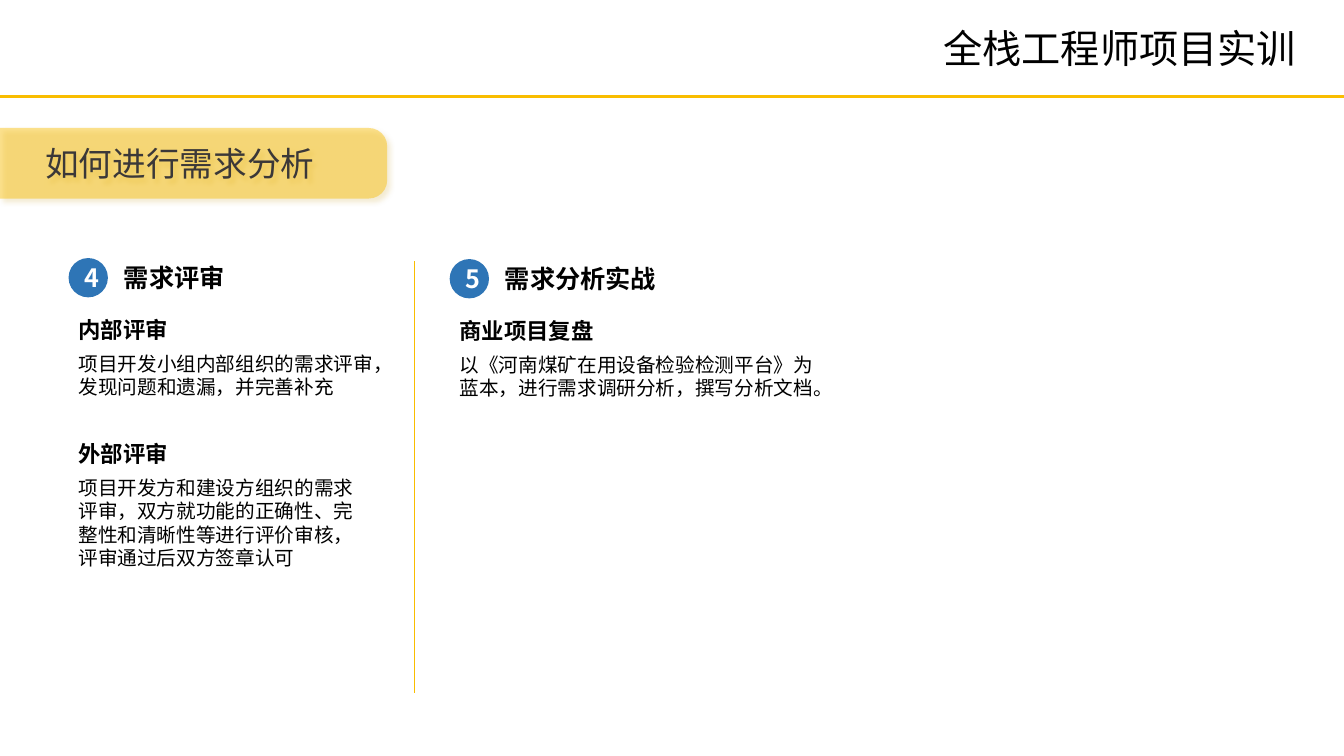
import pptx
import pptx.util
from lxml import etree
from pptx.dml.color import RGBColor
from pptx.enum.shapes import MSO_CONNECTOR, MSO_SHAPE
from pptx.enum.text import MSO_ANCHOR, MSO_AUTO_SIZE, PP_ALIGN
from pptx.oxml.ns import qn
from pptx.util import Inches, Pt

GOLD = RGBColor(0xF9, 0xBD, 0x00)
SHADOW_BROWN = RGBColor(0xBF, 0x90, 0x00)
BLUE = RGBColor(0x2E, 0x75, 0xB6)
CHARCOAL = RGBColor(0x3B, 0x38, 0x38)
BLACK = RGBColor(0, 0, 0)
WHITE = RGBColor(0xFF, 0xFF, 0xFF)
CJK_FONT = "Noto Sans CJK SC"

COURSE = "全栈工程师项目实训"
TOPIC = "如何进行需求分析"
# Each step: number, heading, left, top, notes as (offset, width, height, title, body, space after body)
STEPS = [
    ("4", "需求评审", 0.68, 2.56, [
        (0.53, 3.29, 0.93, "内部评审",
         "项目开发小组内部组织的需求评审，发现问题和遗漏，并完善补充", 0),
        (1.76, 3.04, 1.4, "外部评审",
         "项目开发方和建设方组织的需求评审，双方就功能的正确性、"
         "完整性和清晰性等进行评价审核，评审通过后双方签章认可", 0),
    ]),
    ("5", "需求分析实战", 4.46, 2.57, [
        (0.53, 3.79, 0.93, "商业项目复盘",
         "以《河南煤矿在用设备检验检测平台》为蓝本，进行需求调研分析，撰写分析文档。", 6),
    ]),
]
BADGE = 0.39

prs = pptx.Presentation()
prs.slide_width, prs.slide_height = Inches(13.33), Inches(7.5)
slide = prs.slides.add_slide(prs.slide_layouts[6])


def add_run(paragraph, text, size, color=BLACK, bold=False, latin=CJK_FONT):
    run = paragraph.add_run()
    run.text = text
    run.font.size = Pt(size)
    run.font.bold = bold
    run.font.color.rgb = color
    run.font.name = latin
    etree.SubElement(run.font._element, qn("a:ea"), typeface=CJK_FONT)


def add_text_box(left, top, width, height):
    box = slide.shapes.add_textbox(*map(Inches, (left, top, width, height)))
    box.text_frame.word_wrap = True
    box.text_frame.auto_size = MSO_AUTO_SIZE.SHAPE_TO_FIT_TEXT
    return box.text_frame


def add_rule(x1, y1, x2, y2, weight):
    rule = slide.shapes.add_connector(MSO_CONNECTOR.STRAIGHT, *map(Inches, (x1, y1, x2, y2)))
    rule.line.color.rgb = GOLD
    rule.line.width = Pt(weight)
    etree.SubElement(rule._element.spPr, qn("a:effectLst"))


def add_filled_shape(kind, left, top, width, height, color):
    shape = slide.shapes.add_shape(kind, *map(Inches, (left, top, width, height)))
    shape.shadow.inherit = False
    shape.fill.solid()
    shape.fill.fore_color.rgb = color
    shape.line.fill.background()
    shape.text_frame.vertical_anchor = MSO_ANCHOR.MIDDLE
    return shape


def set_alpha(color_element, percent):
    etree.SubElement(color_element, qn("a:alpha"), val=str(percent * 1000))


def add_banner():
    """Gold tab on the left edge: turned a quarter so its two round corners face right."""
    banner = add_filled_shape(MSO_SHAPE.ROUND_2_SAME_RECTANGLE, 1.57, -0.3, 0.7, 3.84, GOLD)
    banner.rotation = 90
    banner.adjustments[0] = 0.26
    banner.adjustments[1] = 0
    properties = banner._element.spPr
    set_alpha(properties.find(".//" + qn("a:srgbClr")), 44)
    shadow = etree.SubElement(
        properties.find(qn("a:effectLst")), qn("a:outerShdw"), blurRad=str(Pt(4)),
        dist=str(Pt(3)), dir=str(45 * 60000), algn="tl", rotWithShape="0")
    set_alpha(etree.SubElement(shadow, qn("a:srgbClr"), val=str(SHADOW_BROWN)), 40)

    frame = banner.text_frame
    frame.margin_left = frame.margin_right = frame.margin_top = frame.margin_bottom = 0
    frame._txBody.find(qn("a:bodyPr")).set("vert", "vert270")
    topic = frame.paragraphs[0]
    topic.alignment = PP_ALIGN.LEFT
    topic._p.get_or_add_pPr().set("marL", str(Inches(0.45)))
    add_run(topic, TOPIC, 24, CHARCOAL)


def add_step(number, heading, left, top, notes):
    badge = add_filled_shape(MSO_SHAPE.OVAL, left, top, BADGE, BADGE, BLUE)
    badge_line = badge.text_frame.paragraphs[0]
    badge_line.alignment = PP_ALIGN.CENTER
    add_run(badge_line, number, 18, WHITE, bold=True)

    heading_frame = add_text_box(left + 0.45, top - 0.01, 2.29, 0.4)
    add_run(heading_frame.paragraphs[0], heading, 18, bold=True)

    for offset, width, height, title, body, space_after in notes:
        note = add_text_box(left, top + offset, width, height)
        title_line = note.paragraphs[0]
        title_line.space_after = Pt(6)
        add_run(title_line, title, 16, bold=True)
        body_lines = note.add_paragraph()
        body_lines.space_after = Pt(space_after)
        add_run(body_lines, body, 14)


add_rule(-0.02, 0.96, 13.34, 0.96, 2.25)
course_line = add_text_box(9.14, 0.19, 3.93, 0.57).paragraphs[0]
course_line.alignment = PP_ALIGN.CENTER
add_run(course_line, COURSE, 28, latin="Arial")
add_banner()
add_rule(4.11, 2.59, 4.11, 6.88, 0.5)
for step in STEPS:
    add_step(*step)

prs.save("out.pptx")
